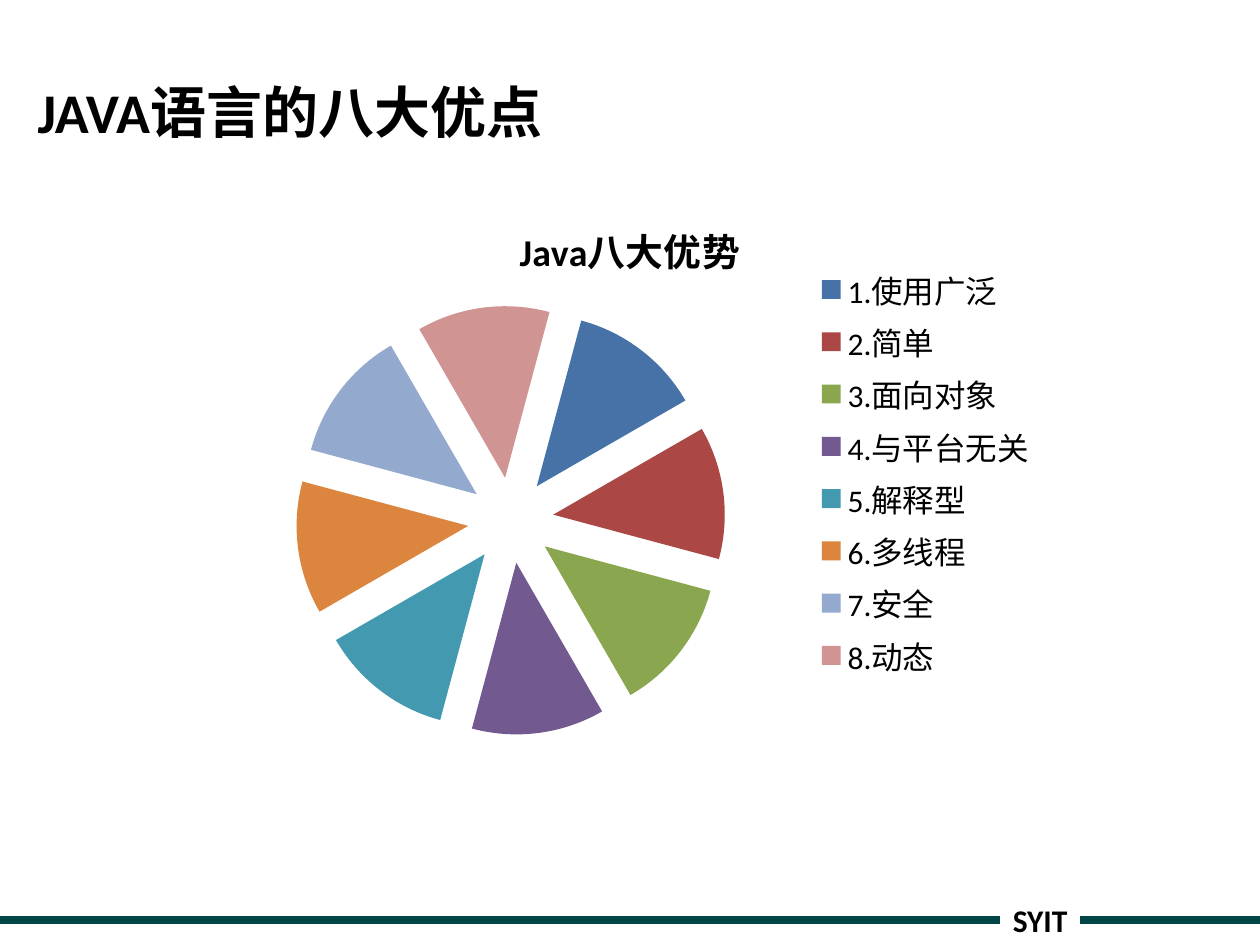
"""Slide with an exploded pie chart of the eight strengths of Java."""
from lxml import etree
from pptx import Presentation
from pptx import util as u
from pptx.chart import data
from pptx.dml.color import RGBColor
from pptx.enum import chart as charts, shapes, text
from pptx.oxml import ns

COLORS = {
    "text": "000000", "rule": "004545",
    "1.使用广泛": "4672A8", "2.简单": "AB4744", "3.面向对象": "8AA64F",
    "4.与平台无关": "725990", "5.解释型": "4299B0", "6.多线程": "DC853E",
    "7.安全": "93A9CE", "8.动态": "D09493",
}
STRENGTHS = list(COLORS)[2:]


def set_font(font, size, bold):
    values = {"name": "Calibri", "size": u.Pt(size), "bold": bold}
    for name, value in values.items():
        setattr(font, name, value)
    font.color.rgb = RGBColor.from_string(COLORS["text"])


presentation = Presentation()
presentation.slide_width, presentation.slide_height = u.Inches(10), u.Inches(7.5)
width, height = presentation.slide_width, presentation.slide_height
slide = presentation.slides.add_slide(presentation.slide_layouts[6])

rule_y = u.Inches(7.3)
for start, end in ((0, 0.794), (0.857, 1)):
    rule = slide.shapes.add_connector(
        shapes.MSO_CONNECTOR.STRAIGHT,
        int(width * start), rule_y, int(width * end), rule_y)
    rule.line.color.rgb = RGBColor.from_string(COLORS["rule"])
    rule.line.width = u.Pt(4.5)
    etree.SubElement(rule._element.spPr, ns.qn("a:effectLst"))

labels = (
    ("SYIT", 18, (7.94, 7.1, 0.64, 0.4), False, text.MSO_ANCHOR.TOP),
    ("JAVA语言的八大优点", 32, (0.2, 0.4, 9.05, 0.97), True, text.MSO_ANCHOR.MIDDLE),
)
for wording, size, box, wraps, anchor in labels:
    label = slide.shapes.add_textbox(*map(u.Inches, box))
    frame = label.text_frame
    frame.word_wrap, frame.vertical_anchor = wraps, anchor
    run = frame.paragraphs[0].add_run()
    run.text = wording
    set_font(run.font, size, True)

chart_data = data.CategoryChartData()
chart_data.categories = STRENGTHS
chart_data.add_series("Series 1", [12] * len(STRENGTHS))
chart_width, chart_height = width * 2 // 3, u.Inches(4.44)
chart = slide.shapes.add_chart(
    charts.XL_CHART_TYPE.PIE, (width - chart_width) // 2, (height - chart_height) // 2,
    chart_width, chart_height, chart_data).chart
set_font(chart.font, 18, False)

chart.has_title = True
title = chart.chart_title.text_frame.paragraphs[0].add_run()
title.text = "Java八大优势"
set_font(title.font, 21.6, True)

chart.has_legend = True
chart.legend.position = charts.XL_LEGEND_POSITION.RIGHT
chart.legend.include_in_layout = False
set_font(chart.legend.font, 18, False)

pie = chart.plots[0]
pie.vary_by_categories = True
series = pie.series[0]
explosion = etree.Element(ns.qn("c:explosion"), val="25")
series._element.find(ns.qn("c:tx")).addnext(explosion)
etree.SubElement(pie._element, ns.qn("c:firstSliceAng"), val="15")
for index, strength in enumerate(STRENGTHS):
    point = series.points[index]
    point.format.fill.solid()
    point.format.fill.fore_color.rgb = RGBColor.from_string(COLORS[strength])
    point.format.line.fill.background()
    point_explosion = etree.Element(ns.qn("c:explosion"), val="25")
    point.format._element.find(ns.qn("c:spPr")).addprevious(point_explosion)

presentation.save("out.pptx")
